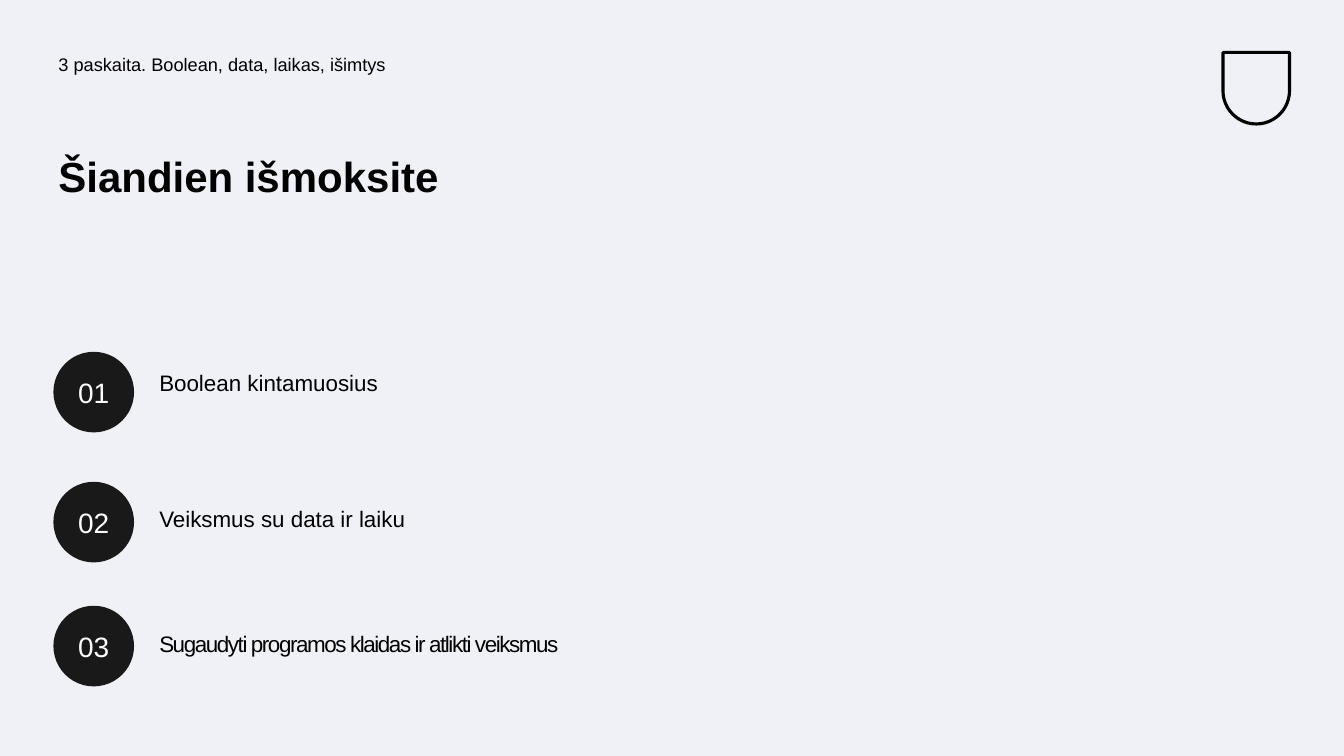
from dataclasses import dataclass

from pptx import Presentation
from pptx.dml.color import RGBColor
from pptx.enum.shapes import MSO_SHAPE
from pptx.enum.text import MSO_ANCHOR, PP_ALIGN
from pptx.slide import Slide
from pptx.text.text import TextFrame
from pptx.util import Inches, Pt

OVAL = MSO_SHAPE.OVAL
SHIELD = MSO_SHAPE.ROUND_2_SAME_RECTANGLE
TOP, MIDDLE = MSO_ANCHOR.TOP, MSO_ANCHOR.MIDDLE
LEFT, CENTER = PP_ALIGN.LEFT, PP_ALIGN.CENTER

BACKGROUND = RGBColor(0xF0, 0xF1, 0xF6)
BLACK = RGBColor(0x00, 0x00, 0x00)
CHARCOAL = RGBColor(0x19, 0x19, 0x19)
WHITE = RGBColor(0xFE, 0xFF, 0xFF)

FONT = "Arial"
MARGIN = 0.53
TOPIC_LEFT = 1.53
BADGE_SIZE = 0.8


@dataclass(frozen=True)
class Label:
    text: str
    left: float
    top: float
    width: float
    height: float
    size: float
    bold: bool = False
    spacing: float = 0


@dataclass(frozen=True)
class Topic:
    badge_top: float
    label: Label


HEADINGS = [
    Label("3 paskaita. Boolean, data, laikas, išimtys", MARGIN, 0.5, 6.14, 0.3, 13),
    Label("Šiandien išmoksite", MARGIN, 1.5, 5.63, 0.56, 30, bold=True),
]
TOPICS = [
    Topic(3.49, Label("Boolean kintamuosius", TOPIC_LEFT, 3.64, 4.63, 0.34, 16)),
    Topic(4.78, Label("Veiksmus su data ir laiku", TOPIC_LEFT, 4.99, 4.63, 0.34, 16)),
    Topic(6.01, Label("Sugaudyti programos klaidas ir atlikti veiksmus",
                      TOPIC_LEFT, 6.23, 4.87, 0.36, 16, spacing=-1)),
]


def write_text(frame: TextFrame, text: str, size: float, color: RGBColor,
               align: PP_ALIGN = LEFT, anchor: MSO_ANCHOR = TOP,
               bold: bool = False, line_spacing: float = 1.0,
               spacing: float = 0) -> None:
    frame.word_wrap = True
    frame.vertical_anchor = anchor
    frame.margin_left = frame.margin_right = Inches(0.05)
    frame.margin_top = frame.margin_bottom = Inches(0.05)
    para = frame.paragraphs[0]
    para.alignment = align
    para.line_spacing = line_spacing
    span = para.add_run()
    span.text = text
    if spacing:
        span._r.get_or_add_rPr().set("spc", str(round(spacing * 100)))
    para.font.name = FONT
    para.font.size = Pt(size)
    para.font.bold = bold
    para.font.color.rgb = color


def draw_label(page: Slide, label: Label) -> None:
    box = page.shapes.add_textbox(Inches(label.left), Inches(label.top),
                                  Inches(label.width), Inches(label.height))
    write_text(box.text_frame, label.text, label.size, BLACK, bold=label.bold,
               line_spacing=0.9, spacing=label.spacing)


def draw_badge(page: Slide, number: int, top: float) -> None:
    badge = page.shapes.add_shape(OVAL, Inches(MARGIN), Inches(top),
                                  Inches(BADGE_SIZE), Inches(BADGE_SIZE))
    badge.shadow.inherit = False
    badge.fill.solid()
    badge.fill.fore_color.rgb = CHARCOAL
    badge.line.fill.background()
    write_text(badge.text_frame, f"{number:02d}", 20, WHITE, CENTER, MIDDLE)


def draw_shield(page: Slide) -> None:
    shield = page.shapes.add_shape(SHIELD, Inches(12.13), Inches(0.52),
                                   Inches(0.66), Inches(0.71))
    shield.adjustments[0] = 0
    shield.adjustments[1] = 0.5
    shield.shadow.inherit = False
    shield.fill.background()
    shield.line.color.rgb = BLACK
    shield.line.width = Pt(2.25)


def main() -> None:
    deck = Presentation()
    deck.slide_width = Inches(13.33)
    deck.slide_height = Inches(7.5)
    page = deck.slides.add_slide(deck.slide_layouts[6])
    page.background.fill.solid()
    page.background.fill.fore_color.rgb = BACKGROUND

    draw_shield(page)
    for heading in HEADINGS:
        draw_label(page, heading)
    for number, topic in enumerate(TOPICS, start=1):
        draw_badge(page, number, topic.badge_top)
        draw_label(page, topic.label)

    deck.save("out.pptx")


if __name__ == "__main__":
    main()
